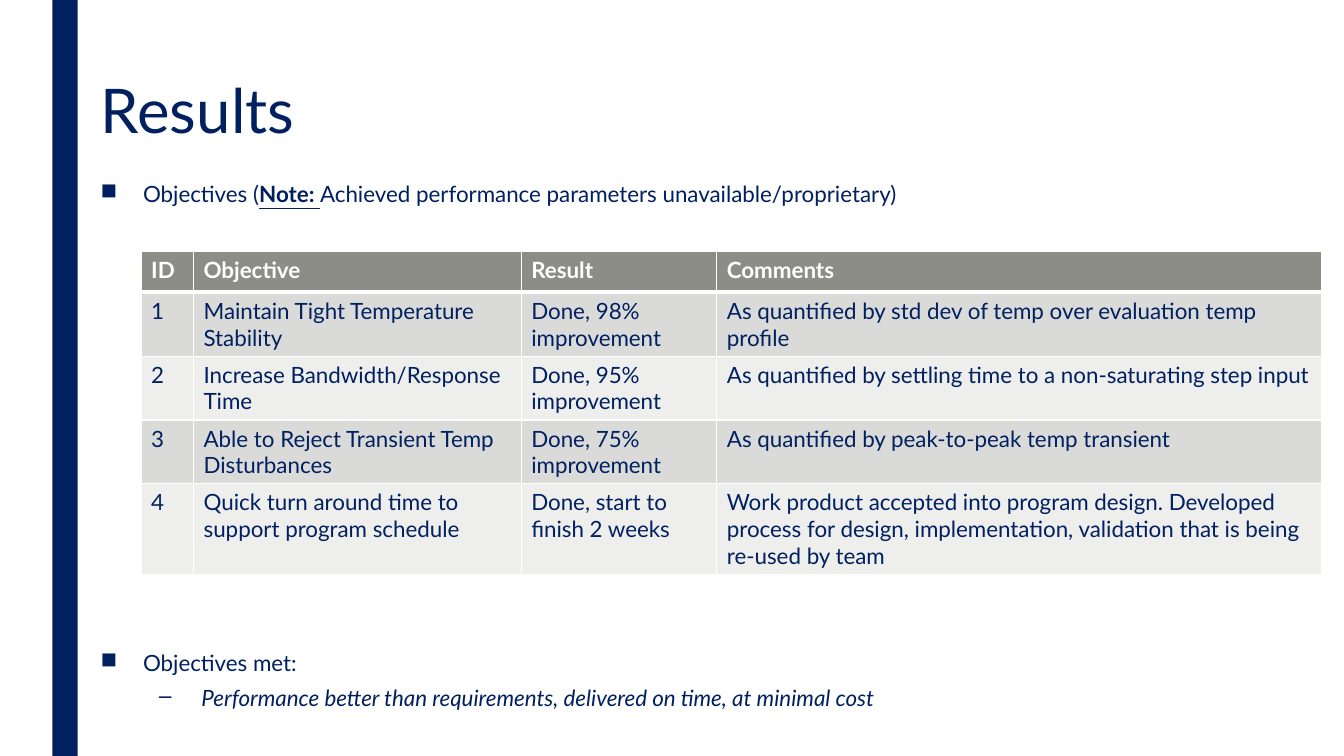
"""Build the Results slide: objectives table between two bullet groups."""
from typing import NamedTuple

from lxml import etree
from pptx import Presentation
from pptx.dml.color import RGBColor
from pptx.enum.shapes import MSO_SHAPE
from pptx.enum.text import MSO_ANCHOR, MSO_AUTO_SIZE, PP_ALIGN
from pptx.oxml.ns import qn
from pptx.util import Inches, Pt

RECTANGLE = MSO_SHAPE.RECTANGLE
TOP = MSO_ANCHOR.TOP
LEFT = PP_ALIGN.LEFT
NO_AUTOFIT = MSO_AUTO_SIZE.NONE

FONT = "Lato"
NAVY, WHITE, HEADER_GREY = "002060", "FFFFFF", "8C8D86"
BANDS = ("DADBD9", "EEEEED")
TITLE_SIZE, BODY_SIZE = 44, 16
SLIDE_WIDTH, SLIDE_HEIGHT = 13.33, 7.5
MARGIN_LEFT, HANGING = 0.9, 0.42

COLUMN_WIDTHS = (0.52, 3.25, 1.94, 6)
ROW_HEIGHTS = (0.41, 0.63, 0.63, 0.63, 0.9)
OBJECTIVES = (
    ("ID", "Objective", "Result", "Comments"),
    ("1", "Maintain Tight Temperature Stability", "Done, 98% improvement",
     "As quantified by std dev of temp over evaluation temp profile"),
    ("2", "Increase Bandwidth/Response Time", "Done, 95% improvement",
     "As quantified by settling time to a non-saturating step input"),
    ("3", "Able to Reject Transient Temp Disturbances", "Done, 75% improvement",
     "As quantified by peak-to-peak temp transient"),
    ("4", "Quick turn around time to support program schedule",
     "Done, start to finish 2 weeks",
     "Work product accepted into program design. Developed process for design, "
     "implementation, validation that is being re-used by team"),
)


class Phrase(NamedTuple):
    text: str
    note: bool = False
    italic: bool = False


class Bullet(NamedTuple):
    phrases: tuple[Phrase, ...]
    mark: str
    indent: float
    level: int
    space_before: float


BULLETS = (
    Bullet((Phrase("Objectives ("), Phrase("Note: ", note=True),
            Phrase("Achieved performance parameters unavailable/proprietary)")),
           "■", HANGING, 0, 0),
    Bullet((Phrase("Objectives met:"),), "■", HANGING, 0, 315),
    Bullet((Phrase("Performance better than requirements, delivered on time, "
                   "at minimal cost", italic=True),), "–", 1, 1, 5),
)


def color(value: str) -> RGBColor:
    """Turn a hex string into a colour."""
    return RGBColor.from_string(value)


def format_run(run, size: float, fill: str, bold: bool = False) -> None:
    """Give a run its font, size, colour and weight."""
    run.font.name = FONT
    run.font.size = Pt(size)
    run.font.color.rgb = color(fill)
    run.font.bold = bold


def draw_side_bar(slide) -> None:
    """Draw the full-height bar at the left."""
    bar = slide.shapes.add_shape(RECTANGLE, Inches(0.52), 0, Inches(0.25), Inches(SLIDE_HEIGHT))
    bar.shadow.inherit = False
    bar.fill.solid()
    bar.fill.fore_color.rgb = color(NAVY)
    bar.line.fill.background()


def place_title(slide, text: str) -> None:
    """Move and format the title placeholder."""
    title = slide.shapes.title
    title.left, title.top = Inches(MARGIN_LEFT), Inches(0.75)
    title.width, title.height = Inches(11.1), Inches(0.82)
    frame = title.text_frame
    frame.text = text
    frame.auto_size = NO_AUTOFIT
    frame.vertical_anchor = TOP
    paragraph = frame.paragraphs[0]
    paragraph.alignment = LEFT
    paragraph.line_spacing = 0.89
    format_run(paragraph.runs[0], TITLE_SIZE, NAVY)


def write_bullet(paragraph, bullet: Bullet) -> None:
    """Fill one paragraph with a marked, hanging bullet."""
    paragraph.level = bullet.level
    paragraph.line_spacing = 0.94
    paragraph.space_before = Pt(bullet.space_before)
    paragraph.space_after = Pt(2)
    for phrase in bullet.phrases:
        run = paragraph.add_run()
        run.text = phrase.text
        format_run(run, BODY_SIZE, NAVY, phrase.note)
        run.font.underline = phrase.note
        run.font.italic = phrase.italic
    properties = paragraph._p.get_or_add_pPr()
    properties.set("marL", str(Inches(bullet.indent)))
    properties.set("indent", str(-Inches(HANGING)))
    etree.SubElement(properties, qn("a:buChar"), char=bullet.mark)


def draw_bullets(slide) -> None:
    """Write the bullet groups above and below the table."""
    box = slide.shapes.add_textbox(Inches(MARGIN_LEFT), Inches(1.76), Inches(11.82), Inches(5.38))
    frame = box.text_frame
    frame.word_wrap = True
    for index, bullet in enumerate(BULLETS):
        write_bullet(frame.add_paragraph() if index else frame.paragraphs[0], bullet)


def add_border(cell, side: str, width: float) -> None:
    """Add a white border on one side of a cell."""
    line = etree.SubElement(cell._tc.get_or_add_tcPr(), qn(f"a:{side}"), w=str(Pt(width)))
    fill = etree.SubElement(line, qn("a:solidFill"))
    etree.SubElement(fill, qn("a:srgbClr"), val=WHITE)


def format_cell(cell, text: str, row: int) -> None:
    """Write a cell and style it by its row."""
    is_header = row == 0
    for side in ("lnL", "lnR", "lnT", "lnB"):
        thick = (is_header and side == "lnB") or (row == 1 and side == "lnT")
        add_border(cell, side, 3 if thick else 1)
    cell.fill.solid()
    cell.fill.fore_color.rgb = color(HEADER_GREY if is_header else BANDS[(row - 1) % 2])
    cell.text_frame.text = text
    format_run(cell.text_frame.paragraphs[0].runs[0], BODY_SIZE,
               WHITE if is_header else NAVY, is_header)


def draw_table(slide) -> None:
    """Draw the table of objectives."""
    frame = slide.shapes.add_table(
        len(ROW_HEIGHTS), len(COLUMN_WIDTHS), Inches(1.4), Inches(2.49),
        Inches(sum(COLUMN_WIDTHS)), Inches(sum(ROW_HEIGHTS)))
    table = frame.table
    for column, width in zip(table.columns, COLUMN_WIDTHS):
        column.width = Inches(width)
    for index, (row, height) in enumerate(zip(table.rows, ROW_HEIGHTS)):
        row.height = Inches(height)
        for cell, text in zip(row.cells, OBJECTIVES[index]):
            format_cell(cell, text, index)


def main() -> None:
    """Assemble and save the presentation."""
    presentation = Presentation()
    presentation.slide_width = Inches(SLIDE_WIDTH)
    presentation.slide_height = Inches(SLIDE_HEIGHT)
    slide = presentation.slides.add_slide(presentation.slide_layouts.get_by_name("Title Only"))
    draw_side_bar(slide)
    place_title(slide, "Results")
    draw_bullets(slide)
    draw_table(slide)
    presentation.save("out.pptx")


main()
